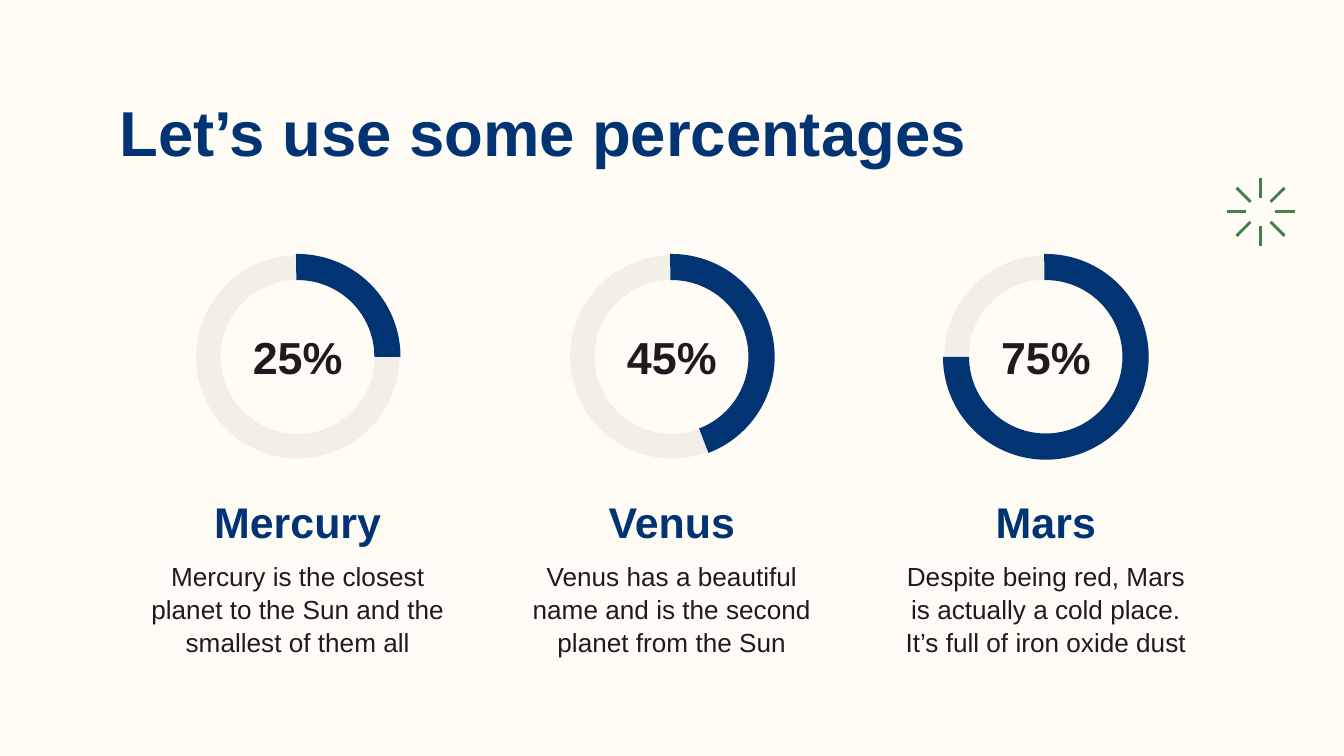
from math import cos, pi, sin

from lxml.etree import SubElement
from pptx import Presentation
from pptx.dml.color import RGBColor
from pptx.enum.shapes import MSO_CONNECTOR, MSO_SHAPE
from pptx.enum.text import MSO_ANCHOR, PP_ALIGN
from pptx.oxml.ns import qn
from pptx.util import Pt

CREAM = RGBColor(0xFF, 0xFC, 0xF6)
NAVY = RGBColor(0x02, 0x34, 0x73)
BLACK = RGBColor(0x1D, 0x1B, 0x1C)
GREY = RGBColor(0xF2, 0xEF, 0xE8)
GREEN = RGBColor(0x44, 0x80, 0x4A)

TITLE = "Let’s use some percentages"
PLANETS = [
    ("Mercury", "25%", 180, "Mercury is the closest planet to the Sun and the smallest of them all"),
    ("Venus", "45%", 110.9, "Venus has a beautiful name and is the second planet from the Sun"),
    ("Mars", "75%", 0.1, "Despite being red, Mars is actually a cold place. It’s full of iron oxide dust"),
]
ARC_END = 270.95
FIRST_CENTER, COLUMN_STEP = 159.5, 200.4
RING_CENTER = 191.2
RING_SIZE, ARC_SIZE = 108.8, 110.2
TEXT_WIDTH = 171.4
BURST_CENTER = (675.3, 113.5)
BURST_INNER, BURST_OUTER = 7.6, 18.2


def add_text(slide, text, box, size, color, bold=True, align=PP_ALIGN.CENTER,
             anchor=MSO_ANCHOR.TOP, spacing=1.0):
    frame = slide.shapes.add_textbox(*map(Pt, box)).text_frame
    frame.word_wrap = True
    frame.vertical_anchor = anchor
    frame.margin_left = frame.margin_right = Pt(7.2)
    frame.margin_top = frame.margin_bottom = Pt(7.2)
    paragraph = frame.paragraphs[0]
    paragraph.alignment = align
    paragraph.line_spacing = spacing
    run = paragraph.add_run()
    run.text = text
    run.font.name = "Arial"
    run.font.size = Pt(size)
    run.font.bold = bold
    run.font.color.rgb = color


def add_ring(slide, kind, center, size, color, adjustments):
    shape = slide.shapes.add_shape(
        kind, Pt(center - size / 2), Pt(RING_CENTER - size / 2), Pt(size), Pt(size))
    shape.shadow.inherit = False
    shape.fill.solid()
    shape.fill.fore_color.rgb = color
    shape.line.fill.background()
    for index, value in enumerate(adjustments):
        shape.adjustments[index] = value
    return shape


def add_planet(slide, center, name, percentage, arc_start, description):
    left = center - TEXT_WIDTH / 2
    add_text(slide, description, (left, 292.3, TEXT_WIDTH, 59.8), 14, BLACK,
             bold=False, spacing=1.05)
    add_text(slide, name, (left, 265.7, TEXT_WIDTH, 34.6), 23, NAVY, anchor=MSO_ANCHOR.BOTTOM)
    add_ring(slide, MSO_SHAPE.DONUT, center, RING_SIZE, GREY, [0.12])
    arc = add_ring(slide, MSO_SHAPE.BLOCK_ARC, center, ARC_SIZE, NAVY,
                   [arc_start * 0.6, ARC_END * 0.6, 0.127])
    arc.element.spPr.xfrm.set("flipH", "1")
    add_text(slide, percentage, (center - ARC_SIZE / 2, 175, ARC_SIZE, 31.7), 24, BLACK,
             anchor=MSO_ANCHOR.MIDDLE)


def add_burst(slide):
    x, y = BURST_CENTER
    for index in range(8):
        across, down = cos(index * pi / 4), sin(index * pi / 4)
        ray = slide.shapes.add_connector(
            MSO_CONNECTOR.STRAIGHT,
            Pt(x + BURST_INNER * across), Pt(y + BURST_INNER * down),
            Pt(x + BURST_OUTER * across), Pt(y + BURST_OUTER * down))
        ray.line.color.rgb = GREEN
        ray.line.width = Pt(1.58)
        SubElement(ray.element.spPr, qn("a:effectLst"))


def main():
    presentation = Presentation()
    presentation.slide_width, presentation.slide_height = Pt(720), Pt(405)
    slide = presentation.slides.add_slide(presentation.slide_layouts[6])
    slide.background.fill.solid()
    slide.background.fill.fore_color.rgb = CREAM
    for column, planet in enumerate(PLANETS):
        add_planet(slide, FIRST_CENTER + column * COLUMN_STEP, *planet)
    add_text(slide, TITLE, (56.9, 42.5, 607, 43.9), 34, NAVY, align=PP_ALIGN.LEFT)
    add_burst(slide)
    presentation.save("out.pptx")


if __name__ == "__main__":
    main()
